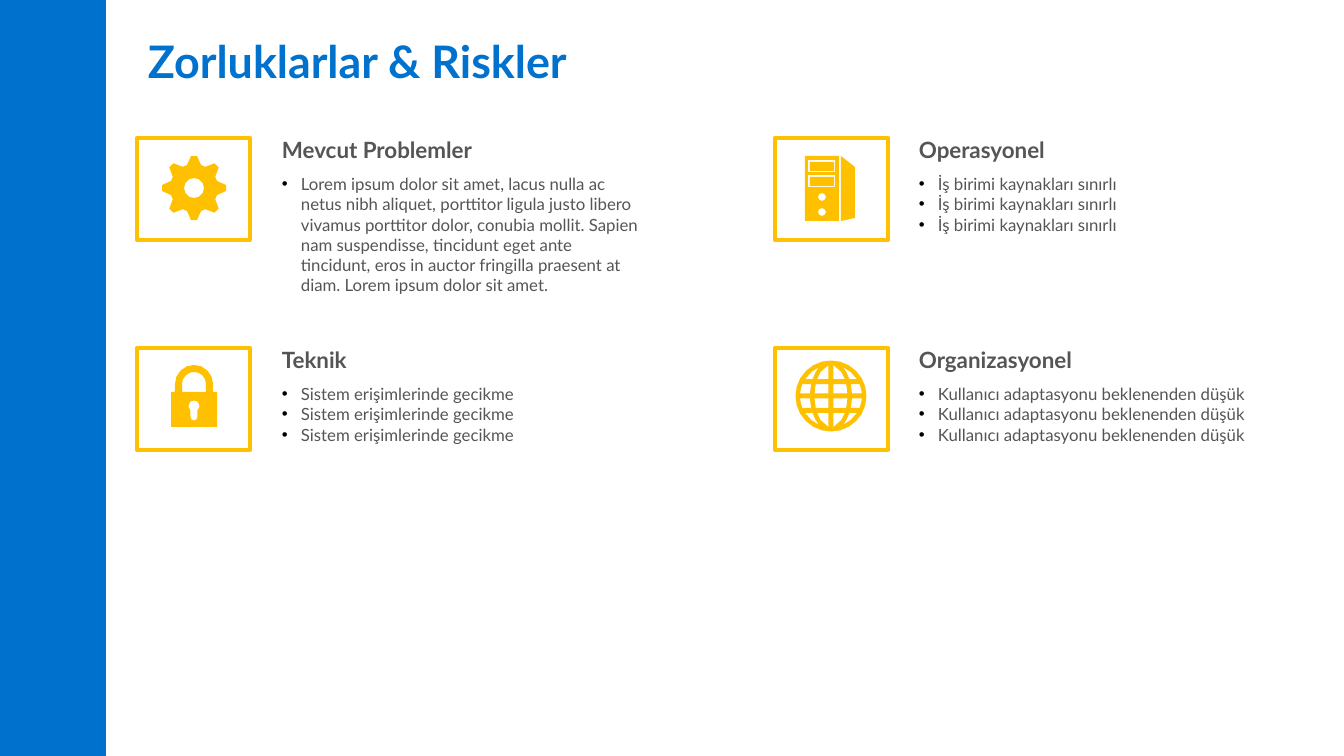
"""Builds the challenges and risks slide: four icon cards, each with a heading and a list."""
from math import cos, radians, sin, sqrt

from lxml import etree
from pptx import Presentation
from pptx.dml.color import RGBColor
from pptx.enum.shapes import MSO_SHAPE
from pptx.enum.text import MSO_ANCHOR, PP_ALIGN
from pptx.oxml.ns import qn
from pptx.util import Pt

PX = 9071
RECTANGLE = MSO_SHAPE.RECTANGLE
MIDDLE = MSO_ANCHOR.MIDDLE
LEFT = PP_ALIGN.LEFT
FONT = "Lato"
BLUE, AMBER, GRAY = "0072CE", "FFC000", "555555"


def rgb(hex_code):
    return RGBColor.from_string(hex_code)


def arc(x, y, radius, start=0, end=360, steps=8):
    angles = [radians(start + (end - start) * i / steps) for i in range(steps + 1)]
    return [(x + radius * cos(a), y + radius * sin(a)) for a in angles]


prs = Presentation()
prs.slide_width = 1344 * PX
prs.slide_height = 756 * PX
slide = prs.slides.add_slide(prs.slide_layouts[5])
shapes = slide.shapes

sidebar = shapes.add_shape(RECTANGLE, 0, 0, 106 * PX, 756 * PX)
sidebar.shadow.inherit = False
sidebar.fill.solid()
sidebar.fill.fore_color.rgb = rgb(BLUE)
sidebar.line.fill.background()

title = shapes.title
title.left, title.top, title.width, title.height = 148 * PX, 39 * PX, 1137 * PX, 49 * PX
title_frame = title.text_frame
title_frame.text = "Zorluklarlar & Riskler"
title_frame.vertical_anchor = MIDDLE
title_frame.margin_left = title_frame.margin_right = 0
title_frame.margin_top = title_frame.margin_bottom = 0
heading_line = title_frame.paragraphs[0]
heading_line.alignment = LEFT
heading_line.line_spacing = 0.9
title_font = heading_line.runs[0].font
title_font.name, title_font.size, title_font.bold = FONT, Pt(32), True
title_font.color.rgb = rgb(BLUE)

cards = [
    (137, 272, 138, "Mevcut Problemler", 320, 132, [
        "Lorem ipsum dolor sit amet, lacus nulla ac netus nibh aliquet, porttitor "
        "ligula justo libero vivamus porttitor dolor, conubia mollit. Sapien nam "
        "suspendisse, tincidunt eget ante tincidunt, eros in auctor fringilla "
        "praesent at diam. Lorem ipsum dolor sit amet."]),
    (775, 909, 138, "Operasyonel", 223, 92, ["İş birimi kaynakları sınırlı"] * 3),
    (137, 272, 348, "Teknik", 223, 112, ["Sistem erişimlerinde gecikme"] * 3),
    (775, 909, 348, "Organizasyonel", 263, 92, ["Kullanıcı adaptasyonu beklenenden düşük"] * 3),
]
for frame_left, text_left, top, heading, heading_width, list_height, points in cards:
    frame = shapes.add_shape(RECTANGLE, frame_left * PX, top * PX, 113 * PX, 102 * PX)
    frame.shadow.inherit = False
    frame.fill.background()
    frame.line.color.rgb = rgb(AMBER)
    frame.line.width = Pt(3)

    for offset, width, height, size, lines, is_list in (
        (31, 381, list_height, 12, points, True),
        (-7, heading_width, 37, 16, [heading], False),
    ):
        box = shapes.add_textbox(text_left * PX, (top + offset) * PX, width * PX, height * PX)
        box.text_frame.word_wrap = True
        box.text_frame.text = "\n".join(lines)
        for paragraph in box.text_frame.paragraphs:
            if is_list:
                props = paragraph._p.get_or_add_pPr()
                props.set("marL", str(19 * PX))
                props.set("indent", str(-19 * PX))
                bullet_color = etree.SubElement(props, qn("a:buClr"))
                etree.SubElement(bullet_color, qn("a:srgbClr"), val="000000")
                etree.SubElement(props, qn("a:buFont"), typeface="Arial")
                etree.SubElement(props, qn("a:buChar"), char="•")
            font = paragraph.runs[0].font
            font.name, font.size, font.bold = FONT, Pt(size), not is_list
            font.color.rgb = rgb(GRAY)

gear_teeth = []
for tooth in range(8):
    turn = radians(45 * tooth)
    for x, y in ((-7, -23), (-3, -32), (3, -32), (7, -23)):
        gear_teeth.append((194 + x * cos(turn) - y * sin(turn), 188 + x * sin(turn) + y * cos(turn)))
gear = [gear_teeth, arc(194, 188, 10, steps=12)]

server = [[(841, 156), (855, 167), (855, 218), (841, 221)], arc(822, 197, 4), arc(822, 212, 4)]
for x1, y1, x2, y2 in (
    (805, 156, 839, 221),
    (808, 160, 835, 172), (810, 162, 834, 171),
    (808, 175, 835, 187), (810, 177, 834, 186),
):
    server.append([(x1, y1), (x2, y1), (x2, y2), (x1, y2)])

padlock = [
    [(171, 427), (217, 427), (217, 392), (213, 392), *arc(194, 384, 19, 0, -180), (175, 392), (171, 392)],
    [(206, 392), *arc(194, 384, 12, 0, -180), (182, 392)],
    arc(194, 406, 5.5, 130, 410) + arc(194, 417, 3.5, 0, 180, steps=4),
]

globe = [arc(831, 396, 35.5, steps=24)]
for side in (-1, 1):
    for start, end in ((-31, -17), (-12, -2.5), (2.5, 12), (17, 31)):
        heights = (start, (start + end) / 2, end)
        inner_cell = [(2.5, y) for y in (end, start)]
        inner_cell += [(max(2.5, 16.5 * sqrt(1 - (y / 31) ** 2)), y) for y in heights]
        rim_heights = [max(-28, min(28, y)) for y in heights]
        rim_cell = [(21 * sqrt(1 - (y / 35) ** 2), y) for y in reversed(rim_heights)]
        rim_cell += [(sqrt(31 ** 2 - y ** 2), y) for y in rim_heights]
        globe += [[(831 + side * x, 396 + y) for x, y in cell] for cell in (inner_cell, rim_cell)]

for icon in (server, padlock, globe, gear):
    contours = [[(x * 10, y * 10) for x, y in contour] for contour in icon]
    outline = shapes.build_freeform(*contours[0][0], scale=PX / 10)
    outline.add_line_segments(contours[0][1:], close=True)
    for contour in contours[1:]:
        outline.move_to(*contour[0])
        outline.add_line_segments(contour[1:], close=True)
    symbol = outline.convert_to_shape()
    symbol.shadow.inherit = False
    symbol.fill.solid()
    symbol.fill.fore_color.rgb = rgb(AMBER)
    symbol.line.fill.background()

prs.save("out.pptx")
